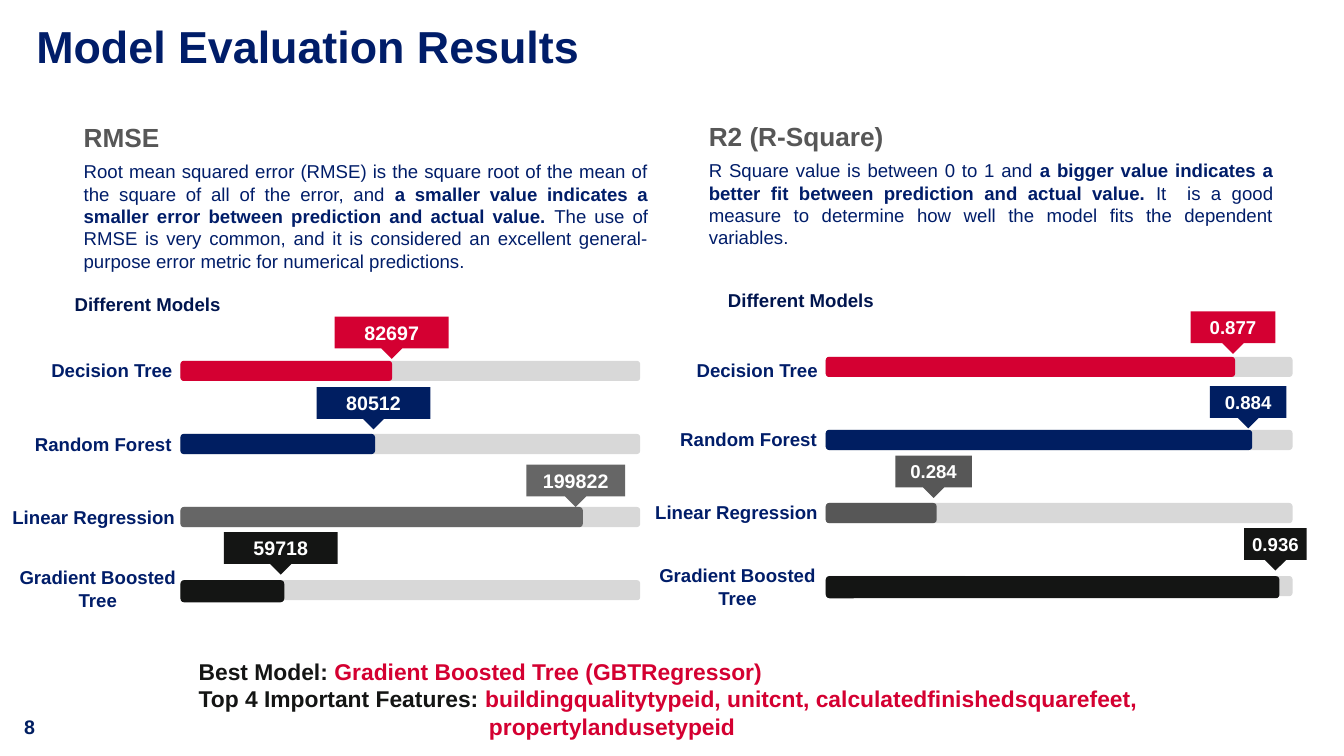
"""Build the model evaluation slide with RMSE and R2 bars."""
from pptx import Presentation
from pptx import util as u
from pptx.dml.color import RGBColor
from pptx.enum import shapes, text

Inches, Pt = u.Inches, u.Pt
LEFT, MID, FULL = text.PP_ALIGN.LEFT, text.PP_ALIGN.CENTER, text.PP_ALIGN.JUSTIFY
NAVY, RED, BLACK, GRAY, WHITE = "001D69", "D40032", "141514", "575757", "FFFFFF"


def write(shape, lines, size, color, align=LEFT, bold=True, wrap=True,
          anchor=text.MSO_ANCHOR.MIDDLE):
    """Fill a shape with lines, each a list of (words, color, bold) runs or a string."""
    frame = shape.text_frame
    frame.auto_size = text.MSO_AUTO_SIZE.NONE
    frame.word_wrap = wrap
    frame.vertical_anchor = anchor
    frame.margin_left = frame.margin_right = frame.margin_top = frame.margin_bottom = 0
    for i, line in enumerate(lines):
        para = frame.add_paragraph() if i else frame.paragraphs[0]
        para.alignment = align
        font = para.font
        font.name, font.size, font.bold = "Arial", Pt(size), bold
        font.color.rgb = RGBColor.from_string(color)
        runs = [(line, color, bold)] if isinstance(line, str) else line
        for words, hue, heavy in runs:
            run = para.add_run()
            run.text = words
            if hue != color:
                run.font.color.rgb = RGBColor.from_string(hue)
            if heavy != bold:
                run.font.bold = heavy
    return frame


def block(kind, x, y, w, h, color):
    """Add a plain filled shape."""
    shape = slide.shapes.add_shape(kind, Inches(x), Inches(y), Inches(w), Inches(h))
    shape.shadow.inherit = False
    shape.fill.solid()
    shape.fill.fore_color.rgb = RGBColor.from_string(color)
    shape.line.fill.background()
    return shape


deck = Presentation()
deck.slide_width, deck.slide_height = Inches(13.33), Inches(7.5)
slide = deck.slides.add_slide(deck.slide_layouts[5])

title = slide.shapes.title
title.left, title.top, title.width, title.height = map(Inches, (0.36, 0.23, 8.22, 0.52))
write(title, ["Model Evaluation Results"], 32, NAVY).paragraphs[0].line_spacing = 0.9

rmse = [
    ("Root mean squared error (RMSE) is the square root of the mean of the square "
     "of all of the error, and ", NAVY, False),
    ("a smaller value indicates a smaller error between prediction and actual value. ",
     NAVY, True),
    ("The use of RMSE is very common, and it is considered an excellent "
     "general-purpose error metric for numerical predictions.", NAVY, False)]
square = [
    ("R Square value is between 0 to 1 and ", NAVY, False),
    ("a bigger value indicates a better fit between prediction and actual value.",
     NAVY, True),
    (" It  is a good measure to determine how well the model fits the dependent "
     "variables.", NAVY, False)]

top = text.MSO_ANCHOR.TOP
notes = [
    (0.83, 1.2, 3, 0.31, ["RMSE"], 18.7, GRAY, LEFT, True, text.MSO_ANCHOR.MIDDLE),
    (7.03, 1.19, 3, 0.31, ["R2 (R-Square)"], 18.7, GRAY, LEFT, True, text.MSO_ANCHOR.MIDDLE),
    (0.83, 1.59, 5.6, 1.12, [rmse], 13.3, NAVY, FULL, False, top),
    (7.03, 1.58, 5.6, 0.9, [square], 13.3, NAVY, FULL, False, top),
    (0.74, 2.91, 2, 0.22, ["Different Models"], 13.3, "00154E", LEFT, True,
     text.MSO_ANCHOR.MIDDLE),
    (7.22, 2.87, 2, 0.22, ["Different Models"], 13.3, "00154E", LEFT, True,
     text.MSO_ANCHOR.MIDDLE),
    (0.24, 7.09, 0.46, 0.24, ["8"], 14, "001E61", LEFT, True, top)]
for x, y, w, h, lines, size, color, align, bold, anchor in notes:
    box = slide.shapes.add_textbox(Inches(x), Inches(y), Inches(w), Inches(h))
    write(box, lines, size, color, align, bold, anchor=anchor)

models = [["Decision Tree"], ["Random Forest"], ["Linear Regression"],
          ["Gradient Boosted", "Tree"]]
# Each row: label x, y, w; bar width, height; callout x, y, w; value; color
charts = [
    (1.79, 3.58, 4.56, 14, [
        (0.5, 3.56, 1.22, 2.1, 0.2, 3.32, 3.14, 1.13, "82697", RED),
        (0.34, 4.3, 1.37, 1.93, 0.2, 3.14, 3.84, 1.13, "80512", "001E61"),
        (0.1, 5.02, 1.66, 3.99, 0.2, 5.22, 4.61, 0.98, "199822", "666666"),
        (0.14, 5.73, 1.66, 1.03, 0.22, 2.22, 5.28, 1.13, "59718", BLACK)]),
    (8.19, 3.54, 4.63, 13.3, [
        (6.9, 3.56, 1.22, 4.06, 0.2, 11.81, 3.09, 0.84, "0.877", RED),
        (6.74, 4.25, 1.37, 4.23, 0.2, 12, 3.83, 0.76, "0.884", "001E61"),
        (6.49, 4.97, 1.63, 1.1, 0.2, 8.88, 4.52, 0.76, "0.284", GRAY),
        (6.5, 5.71, 1.63, 4.5, 0.22, 12.34, 5.24, 0.62, "0.936", BLACK)])]
for left, first, full, size, rows in charts:
    for i, (lx, ly, lw, bw, bh, cx, cy, cw, value, color) in enumerate(rows):
        y = first + 0.725 * i
        label = slide.shapes.add_textbox(Inches(lx), Inches(ly), Inches(lw), Inches(0.22))
        write(label, models[i], 13.3, NAVY, MID, wrap=False)
        for w, h, hue in ((full, 0.2, "D8D8D8"), (bw, bh, color)):
            bar = block(shapes.MSO_SHAPE.ROUNDED_RECTANGLE, left, y, w, h, hue)
            bar.adjustments[0] = 0.167
        flag = block(shapes.MSO_SHAPE.DOWN_ARROW_CALLOUT, cx, cy, cw, 0.42, color)
        for k, part in enumerate((0.25, 0.25, 0.25, 0.75)):
            flag.adjustments[k] = part
        write(flag, [value], size, WHITE, MID, wrap=False)

best = slide.shapes.add_textbox(Inches(1.97), Inches(6.43), Inches(10.03), Inches(1))
frame = write(best, [
    [("Best Model:", BLACK, True), (" Gradient Boosted Tree (GBTRegressor)", "D40031", True)],
    [("Top 4 Important Features:", BLACK, True),
     (" buildingqualitytypeid, unitcnt, calculatedfinishedsquarefeet,", "D40031", True)],
    "propertylandusetypeid"], 16.3, "D40031")
frame.paragraphs[2]._p.get_or_add_pPr().set("marL", str(Inches(2.88)))

deck.save("out.pptx")
